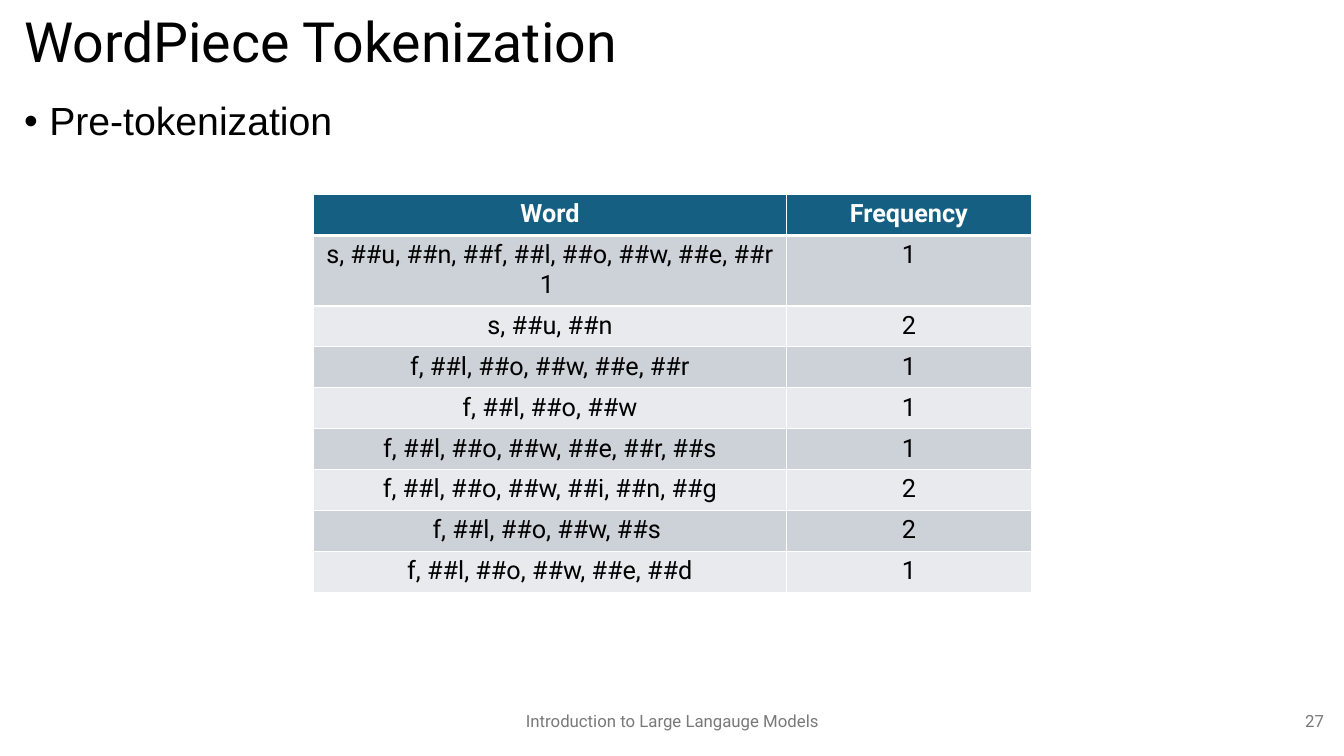
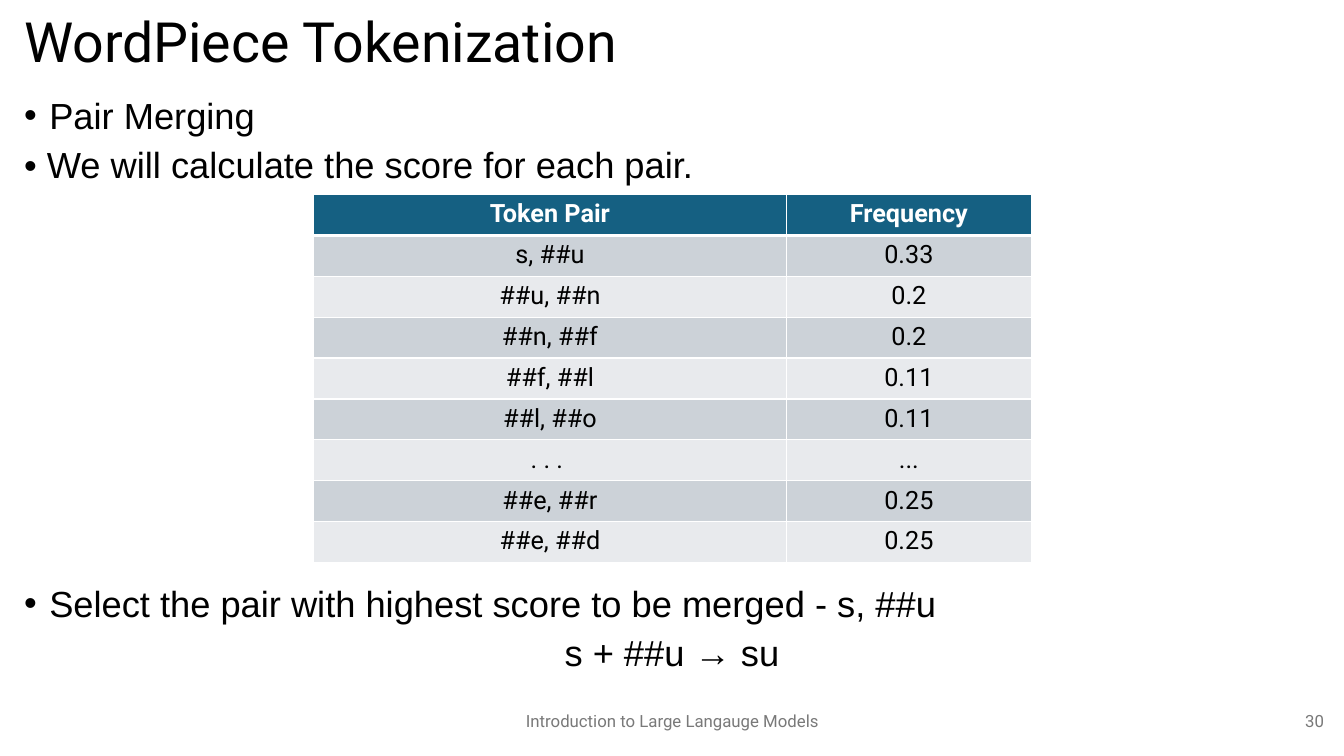
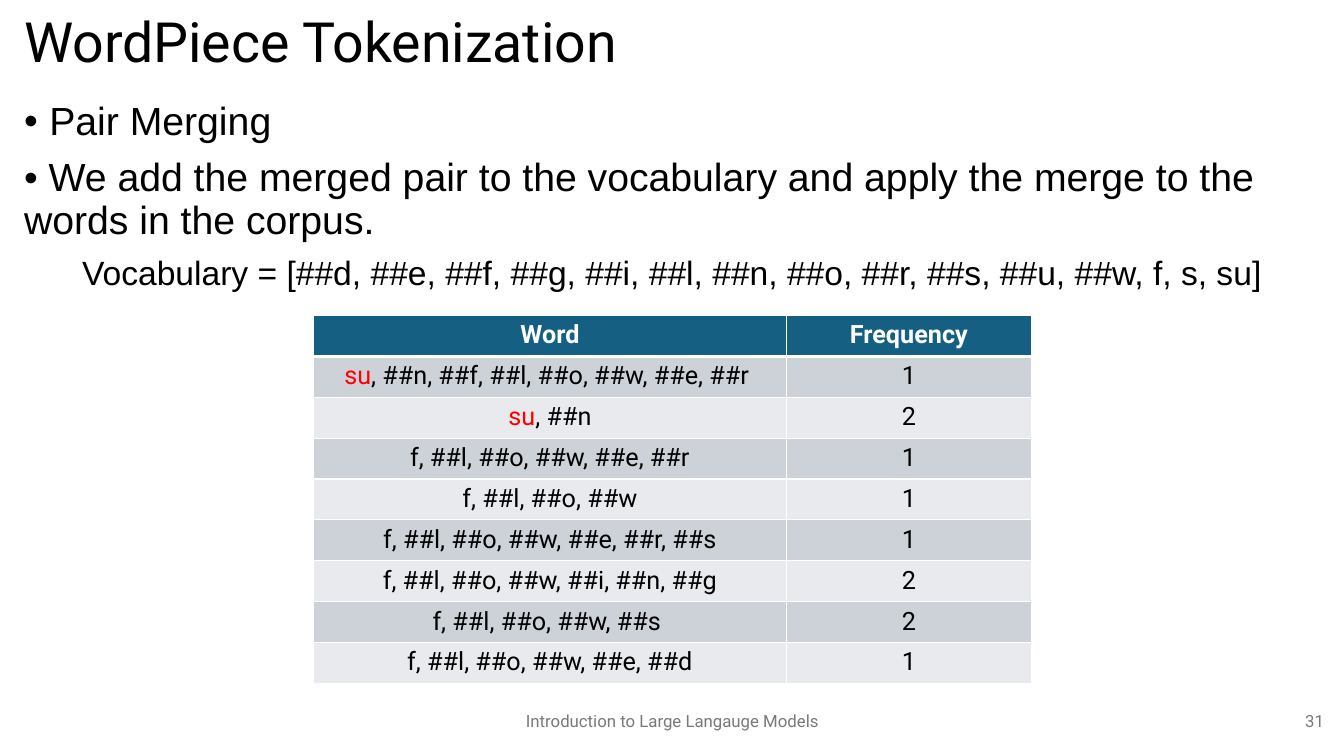
from dataclasses import dataclass

from lxml.etree import SubElement
from pptx import Presentation
from pptx.dml.color import RGBColor
from pptx.enum.text import MSO_ANCHOR, PP_ALIGN
from pptx.oxml.ns import qn
from pptx.util import Inches, Pt

COLORS = {
    "text": "000000",
    "footer": "797979",
    "header": "156082",
    "band_dark": "CCD2D8",
    "band_light": "E8EAED",
    "white": "FFFFFF",
    "merged": "FF0000",
}
HEADING_FONT = "Roboto"
BODY_FONT = "Arial"
TITLE = "WordPiece Tokenization"
FOOTER = "Introduction to Large Langauge Models"
MARGIN, CONTENT_WIDTH = 0.14, 13.05
BODY_TOP, FOOTER_TOP = 0.96, 6.95
TABLE_LEFT, TABLE_HEIGHT = 3.11, 3.65
COLUMN_WIDTHS = (4.69, 2.43)
MERGED_TOKEN = "su"


@dataclass
class Line:
    text: str
    size: float = 28
    align: PP_ALIGN = PP_ALIGN.LEFT
    bullet: bool = False


@dataclass
class TextBlock:
    lines: list[Line]
    top: float = BODY_TOP
    spacing: float = 0.9


@dataclass
class TokenTable:
    header: str
    rows: list[tuple[str, str]]
    top: float = 1.93


@dataclass
class TokenSlide:
    number: int
    blocks: list[TextBlock]
    table: TokenTable


# Words without the merged pair, shared by the first and last tables
UNMERGED_ROWS = [
    ("f, ##l, ##o, ##w, ##e, ##r", "1"),
    ("f, ##l, ##o, ##w", "1"),
    ("f, ##l, ##o, ##w, ##e, ##r, ##s", "1"),
    ("f, ##l, ##o, ##w, ##i, ##n, ##g", "2"),
    ("f, ##l, ##o, ##w, ##s ", "2"),
    ("f, ##l, ##o, ##w, ##e, ##d", "1"),
]

SLIDES = [
    TokenSlide(
        27,
        [TextBlock([Line("Pre-tokenization", bullet=True)])],
        TokenTable("Word", [
            ("s, ##u, ##n, ##f, ##l, ##o, ##w, ##e, ##r 1 ", "1"),
            ("s, ##u, ##n", "2"),
            *UNMERGED_ROWS,
        ]),
    ),
    TokenSlide(
        30,
        [
            TextBlock([
                Line("Pair Merging", 25.9, bullet=True),
                Line("• We will calculate the score for each pair.", 25.9),
            ], spacing=0.8),
            TextBlock([
                Line("Select the pair with highest score to be merged - s, ##u", 25.9, bullet=True),
                Line("s + ##u → su", 25.9, PP_ALIGN.CENTER),
            ], top=5.8, spacing=0.8),
        ],
        TokenTable("Token Pair", [
            ("s, ##u", "0.33"),
            ("##u, ##n", "0.2"),
            ("##n, ##f", "0.2"),
            ("##f, ##l", "0.11"),
            ("##l, ##o", "0.11"),
            (". . . ", "..."),
            ("##e, ##r", "0.25"),
            ("##e, ##d", "0.25"),
        ]),
    ),
    TokenSlide(
        31,
        [TextBlock([
            Line("Pair Merging", bullet=True),
            Line("• We add the merged pair to the vocabulary and apply the merge "
                 "to the words in the corpus."),
            Line("Vocabulary = [##d, ##e, ##f, ##g, ##i, ##l, ##n, ##o, ##r, ##s, "
                 "##u, ##w, f, s, su]", 24, PP_ALIGN.CENTER),
        ])],
        TokenTable("Word", [
            ("su, ##n, ##f, ##l, ##o, ##w, ##e, ##r ", "1"),
            ("su, ##n", "2"),
            *UNMERGED_ROWS,
        ], top=3.13),
    ),
]


# Text helpers
def add_run(paragraph, text: str, *, size: float, font: str = HEADING_FONT,
            color: str = "text", bold: bool = False) -> None:
    run = paragraph.add_run()
    run.text = text
    run.font.size = Pt(size)
    run.font.name = font
    run.font.bold = bold
    run.font.color.rgb = RGBColor.from_string(COLORS[color])


def add_frame(slide, left: float, top: float, width: float, height: float,
              anchor: MSO_ANCHOR = MSO_ANCHOR.MIDDLE):
    box = slide.shapes.add_textbox(Inches(left), Inches(top), Inches(width), Inches(height))
    frame = box.text_frame
    frame.word_wrap = True
    frame.vertical_anchor = anchor
    return frame


def add_label(slide, text: str, left: float, top: float, width: float, height: float, *,
              size: float = 12, color: str = "footer", align: PP_ALIGN = PP_ALIGN.LEFT,
              spacing: float = 1.0) -> None:
    paragraph = add_frame(slide, left, top, width, height).paragraphs[0]
    paragraph.alignment = align
    paragraph.line_spacing = spacing
    add_run(paragraph, text, size=size, color=color)


def add_bullet(paragraph) -> None:
    properties = paragraph._p.get_or_add_pPr()
    properties.set("marL", str(Inches(0.25)))
    properties.set("indent", str(Inches(-0.25)))
    SubElement(properties, qn("a:buFont"), typeface=BODY_FONT)
    SubElement(properties, qn("a:buChar"), char="•")


def add_text_block(slide, block: TextBlock) -> None:
    frame = add_frame(slide, MARGIN, block.top, CONTENT_WIDTH, FOOTER_TOP - block.top,
                      MSO_ANCHOR.TOP)
    for index, line in enumerate(block.lines):
        paragraph = frame.add_paragraph() if index else frame.paragraphs[0]
        if line.bullet:
            add_bullet(paragraph)
        paragraph.alignment = line.align
        paragraph.line_spacing = block.spacing
        paragraph.space_before = Pt(10 if index else 0)
        add_run(paragraph, line.text, size=line.size, font=BODY_FONT)


# Table helpers
def set_borders(cell, row_index: int) -> None:
    thick_side = {0: "lnB", 1: "lnT"}.get(row_index)
    properties = cell._tc.get_or_add_tcPr()
    for side in ("lnL", "lnR", "lnT", "lnB"):
        width = Pt(3 if side == thick_side else 1)
        border = SubElement(properties, qn(f"a:{side}"), w=str(width))
        fill = SubElement(border, qn("a:solidFill"))
        SubElement(fill, qn("a:srgbClr"), val=COLORS["white"])


def fill_cell(cell, text: str, row_index: int) -> None:
    is_header = row_index == 0
    set_borders(cell, row_index)
    band = "header" if is_header else "band_dark" if row_index % 2 else "band_light"
    cell.fill.solid()
    cell.fill.fore_color.rgb = RGBColor.from_string(COLORS[band])
    paragraph = cell.text_frame.paragraphs[0]
    paragraph.alignment = PP_ALIGN.CENTER
    if text.startswith(MERGED_TOKEN):
        add_run(paragraph, MERGED_TOKEN, size=18, color="merged")
        text = text.removeprefix(MERGED_TOKEN)
    add_run(paragraph, text, size=18, color="white" if is_header else "text", bold=is_header)


def add_token_table(slide, content: TokenTable) -> None:
    rows = [(content.header, "Frequency"), *content.rows]
    table = slide.shapes.add_table(
        len(rows), len(COLUMN_WIDTHS), Inches(TABLE_LEFT), Inches(content.top),
        Inches(sum(COLUMN_WIDTHS)), Inches(TABLE_HEIGHT)).table
    for column, width in zip(table.columns, COLUMN_WIDTHS):
        column.width = Inches(width)
    for row_index, row in enumerate(rows):
        for column_index, text in enumerate(row):
            fill_cell(table.cell(row_index, column_index), text, row_index)


# Slides
def add_token_slide(presentation, content: TokenSlide) -> None:
    slide = presentation.slides.add_slide(presentation.slide_layouts[6])
    add_label(slide, TITLE, MARGIN, 0.09, CONTENT_WIDTH, 0.7,
              size=39.6, color="text", spacing=0.9)
    for block in content.blocks:
        add_text_block(slide, block)
    add_label(slide, FOOTER, 4.42, FOOTER_TOP, 4.5, 0.4, align=PP_ALIGN.CENTER)
    add_label(slide, str(content.number), 10.23, FOOTER_TOP, 3, 0.4, align=PP_ALIGN.RIGHT)
    add_token_table(slide, content.table)


def main() -> None:
    presentation = Presentation()
    presentation.slide_width = Inches(13.33)
    presentation.slide_height = Inches(7.5)
    for content in SLIDES:
        add_token_slide(presentation, content)
    presentation.save("out.pptx")


if __name__ == "__main__":
    main()
